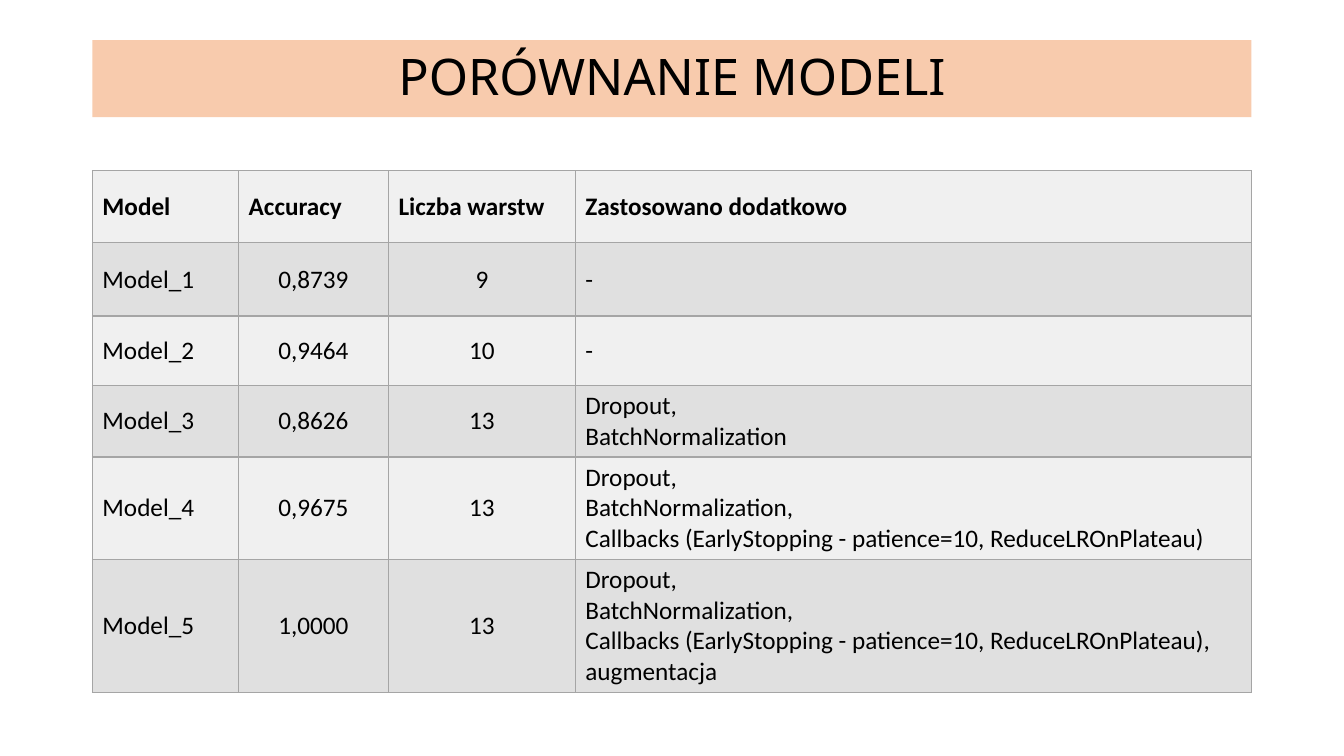
"""Build the model comparison slide with its title bar and results table."""
from lxml import etree
from pptx import Presentation
from pptx.dml.color import RGBColor
from pptx.enum.shapes import MSO_SHAPE
from pptx.enum.text import MSO_ANCHOR, PP_ALIGN
from pptx.oxml.ns import qn
from pptx.util import Pt


def paint(fill, color):
    fill.solid()
    fill.fore_color.rgb = RGBColor.from_string(color)


def add_borders(cell, color, width):
    tc_pr = cell._tc.get_or_add_tcPr()
    for i, side in enumerate(("a:lnL", "a:lnR", "a:lnT", "a:lnB")):
        ln = etree.Element(qn(side), w=str(Pt(width)))
        solid = etree.SubElement(ln, qn("a:solidFill"))
        etree.SubElement(solid, qn("a:srgbClr"), val=color)
        tc_pr.insert(i, ln)


prs = Presentation()
prs.slide_width, prs.slide_height = Pt(960), Pt(540)
s = prs.slides.add_slide(prs.slide_layouts[6])
left, width = 66, 828

title = s.shapes.add_shape(MSO_SHAPE.RECTANGLE, Pt(left), Pt(28.75), Pt(width), Pt(55))
title.shadow.inherit = False
paint(title.fill, "F8CBAD")
title.line.fill.background()
tf = title.text_frame
tf.vertical_anchor = MSO_ANCHOR.MIDDLE
tf.text = "PORÓWNANIE MODELI"
p = tf.paragraphs[0]
p.alignment = PP_ALIGN.CENTER
p.line_spacing = 0.9
p.font.name, p.font.size = "Noto Sans", Pt(36)
paint(p.font.fill, "000000")

callbacks = "Callbacks (EarlyStopping - patience=10, ReduceLROnPlateau)"
rows = [
    ("Model", "Accuracy", "Liczba warstw", "Zastosowano dodatkowo"),
    ("Model_1", "0,8739", "9", "-"),
    ("Model_2", "0,9464", "10", "-"),
    ("Model_3", "0,8626", "13", "Dropout, \nBatchNormalization"),
    ("Model_4", "0,9675", "13", f"Dropout, \nBatchNormalization, \n{callbacks}"),
    ("Model_5", "1,0000", "13", f"Dropout, \nBatchNormalization, \n{callbacks}, augmentacja"),
]
col_widths = [104.5, 107, 133.5, 483]
row_heights = [51.5, 52.25, 49.5, 43.2, 62, 80]

frame = s.shapes.add_table(len(rows), len(col_widths), Pt(left), Pt(122),
                           Pt(width), Pt(sum(row_heights)))
table = frame.table
for col, w in zip(table.columns, col_widths):
    col.width = Pt(w)
for row, h in zip(table.rows, row_heights):
    row.height = Pt(h)

for i, texts in enumerate(rows):
    for j, text in enumerate(texts):
        cell = table.cell(i, j)
        cell.text = text
        cell.vertical_anchor = MSO_ANCHOR.MIDDLE
        paint(cell.fill, "E0E0E0" if i % 2 else "F0F0F0")
        add_borders(cell, "A5A5A5", 0.96)
        for p in cell.text_frame.paragraphs:
            p.alignment = PP_ALIGN.CENTER if i and j in (1, 2) else PP_ALIGN.LEFT
            p.font.name, p.font.size, p.font.bold = "Calibri", Pt(18), i == 0
            paint(p.font.fill, "000000")

prs.save("out.pptx")
